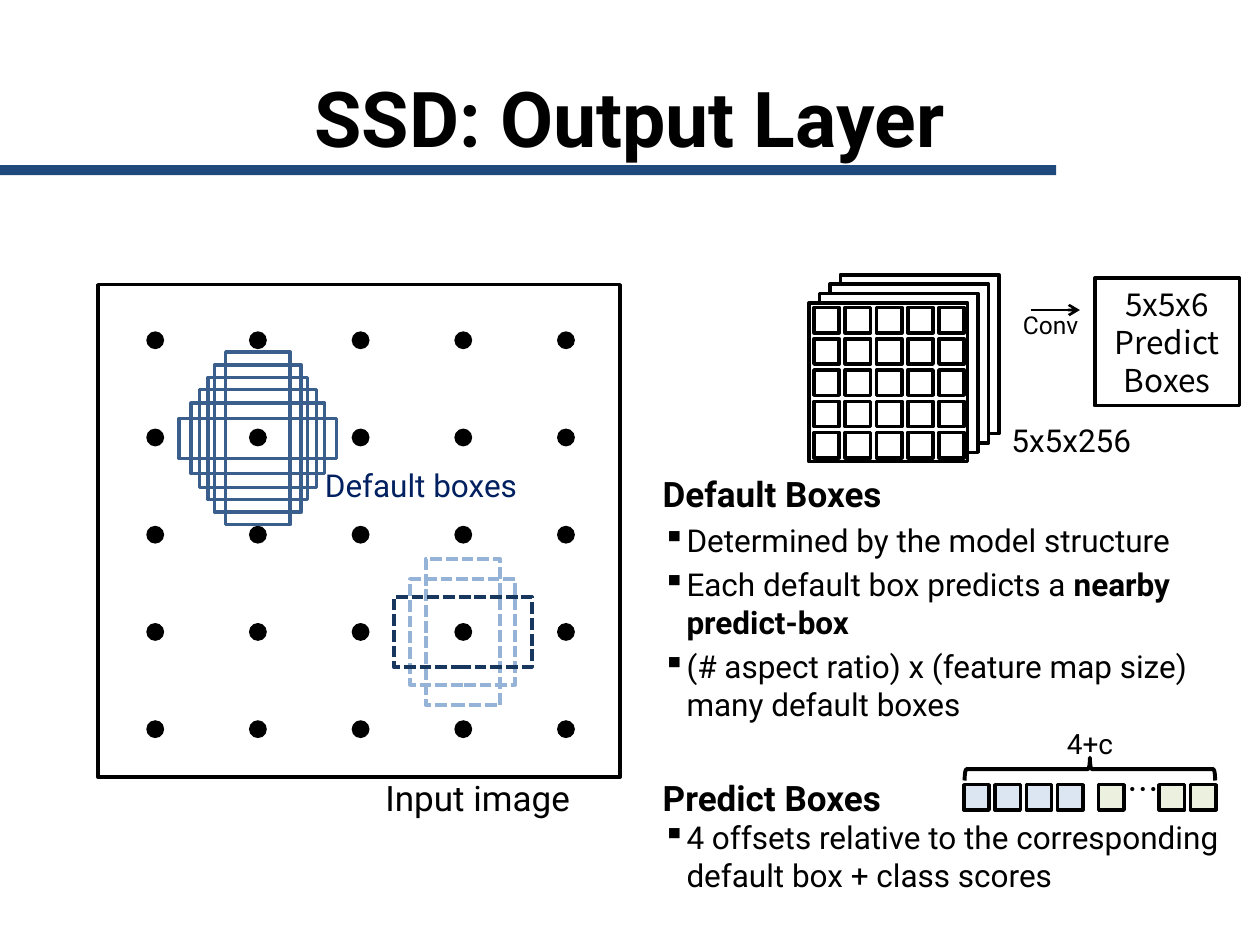
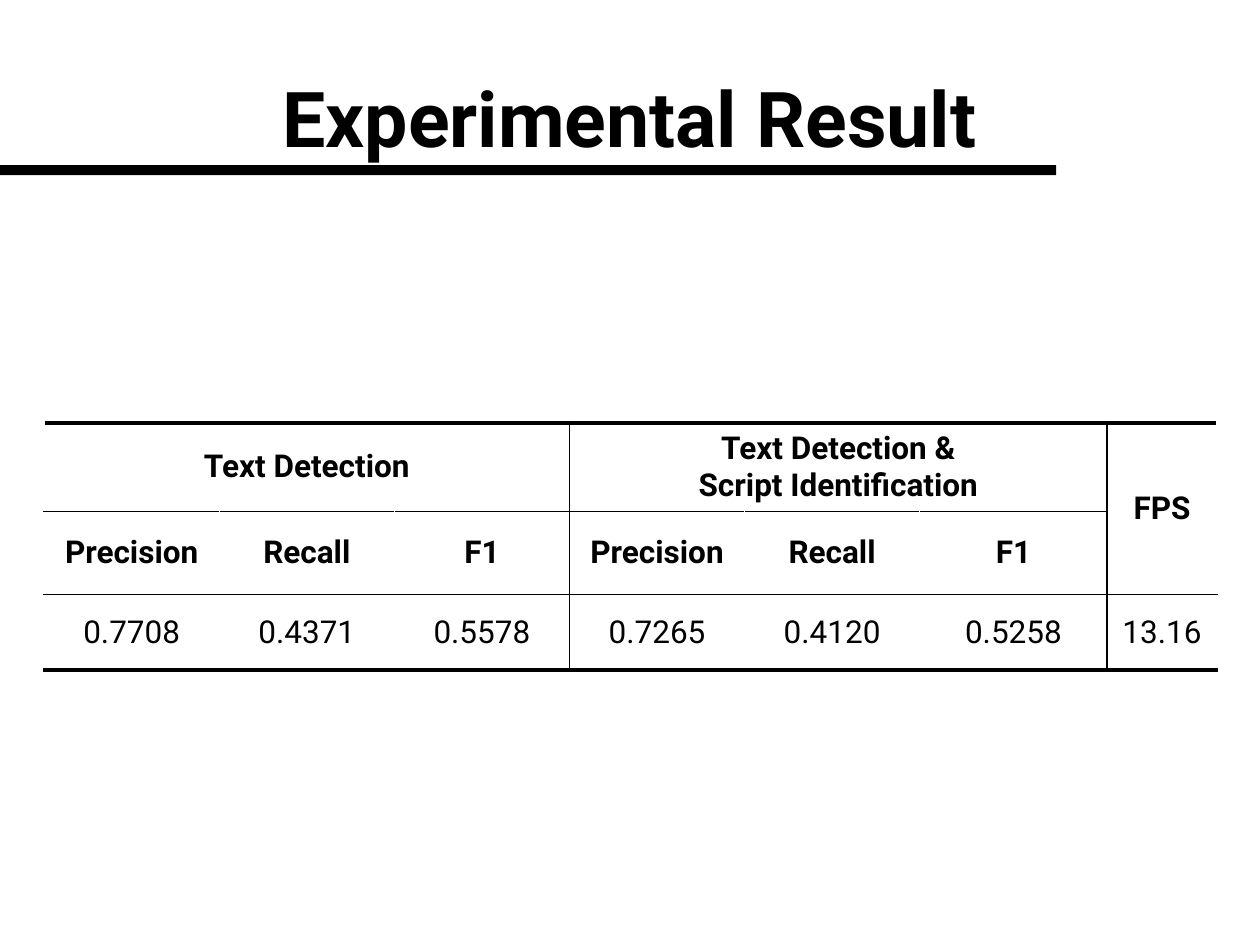
from lxml import etree
from pptx import Presentation
from pptx.dml.color import RGBColor
from pptx.enum.dml import MSO_LINE
from pptx.enum.shapes import MSO_CONNECTOR, MSO_SHAPE
from pptx.enum.text import MSO_ANCHOR, PP_ALIGN
from pptx.oxml.ns import qn
from pptx.util import Cm, Pt

RECT, OVAL, BRACE = MSO_SHAPE.RECTANGLE, MSO_SHAPE.OVAL, MSO_SHAPE.LEFT_BRACE
DASHED, STRAIGHT = MSO_LINE.SQUARE_DOT, MSO_CONNECTOR.STRAIGHT
TOP, MIDDLE = MSO_ANCHOR.TOP, MSO_ANCHOR.MIDDLE
LEFT, CENTER = PP_ALIGN.LEFT, PP_ALIGN.CENTER

COLORS = {
    "black": "000000",
    "white": "FFFFFF",
    "rule": "1F497D",
    "default box": "3A5F8C",
    "near box": "95B3D7",
    "matched box": "17375E",
    "label": "002060",
    "offset": "DCE6F2",
    "score": "EBF1DE",
}
ROBOTO, NOTO = "Roboto", "Noto Sans CJK KR"


def draw(slide, kind, box, fill=None, line=None, width=2, dash=None):
    shape = slide.shapes.add_shape(kind, *[Cm(length) for length in box])
    shape.shadow.inherit = False
    if fill:
        shape.fill.solid()
        shape.fill.fore_color.rgb = RGBColor.from_string(COLORS[fill])
    else:
        shape.fill.background()
    if line:
        shape.line.color.rgb = RGBColor.from_string(COLORS[line])
        shape.line.width = Pt(width)
        shape.line.dash_style = dash
    else:
        shape.line.fill.background()
    return shape


def write(frame, paragraphs, size=18, font=ROBOTO, color="black", bold=False,
          align=LEFT, anchor=TOP, space=0.0, bullets_from=None):
    """Each paragraph is a list of runs; runs at odd places are set in bold."""
    frame.word_wrap = True
    frame.vertical_anchor = anchor
    for index, runs in enumerate(paragraphs):
        paragraph = frame.paragraphs[0] if index == 0 else frame.add_paragraph()
        bulleted = bullets_from is not None and index >= bullets_from
        run_size = 18 if bulleted else size
        for name, value in {"alignment": align,
                            "space_before": Pt(run_size * space)}.items():
            setattr(paragraph, name, value)
        if bulleted:
            properties = paragraph._p.get_or_add_pPr()
            properties.set("marL", str(Cm(0.48)))
            properties.set("indent", str(-Cm(0.48)))
            etree.SubElement(properties, qn("a:buChar")).set("char", "▪")
        for place, text in enumerate(runs):
            run = paragraph.add_run()
            run.text = text
            run_format = {"name": font, "size": Pt(run_size),
                          "bold": place % 2 == 1 or (bold and not bulleted)}
            for name, value in run_format.items():
                setattr(run.font, name, value)
            run.font.color.rgb = RGBColor.from_string(COLORS[color])


deck = Presentation()
deck.slide_width, deck.slide_height = Cm(25.4), Cm(19.05)

# Title and rule of both slides
slides = []
for title, rule_color in [("SSD: Output Layer", "rule"),
                          ("Experimental Result", "black")]:
    slide = deck.slides.add_slide(deck.slide_layouts[6])
    heading = slide.shapes.add_textbox(Cm(1.27), Cm(0.76), Cm(22.86), Cm(3.18))
    write(heading.text_frame, [[title]], size=44, bold=True,
          align=CENTER, anchor=MIDDLE)
    draw(slide, RECT, (0, 3.33, 21.29, 0.2), fill=rule_color)
    slides.append(slide)
output_slide, result_slide = slides

# Input image with its grid of positions
draw(output_slide, RECT, (1.98, 5.74, 10.52, 9.93), "white", "black")
for row in range(5):
    for column in range(5):
        draw(output_slide, OVAL,
             (2.95 + 2.07 * column, 6.68 + 1.96 * row, 0.36, 0.36), "black")

# Feature map: stacked layers, then the cells of the front layer
for layer in range(4):
    draw(output_slide, RECT,
         (16.94 - 0.21 * layer, 5.54 + 0.19 * layer, 3.2, 3.2), "white", "black")
for row in range(5):
    for column in range(5):
        draw(output_slide, RECT,
             (16.41 + 0.63 * column, 6.2 + 0.63 * row, 0.51, 0.51),
             "white", "black")

# Default boxes, each set centred on one position
solid = {"line": "default box"}
near = {"line": "near box", "width": 2.25, "dash": DASHED}
matched = {**near, "line": "matched box"}
box_sets = [
    (5.2, 8.84, [(3.18, 0.81, solid), (2.69, 1.42, solid), (2.36, 1.98, solid),
                 (2.01, 2.46, solid), (1.75, 2.97, solid), (1.3, 3.48, solid)]),
    (9.33, 12.74, [(2.11, 2.13, near), (1.5, 2.95, near), (2.79, 1.4, matched)]),
]
for center_x, center_y, boxes in box_sets:
    for width, height, outline in boxes:
        draw(output_slide, RECT, (center_x - width / 2, center_y - height / 2,
                                  width, height), **outline)

# Convolution arrow and its result
conv_arrow = output_slide.shapes.add_connector(
    STRAIGHT, Cm(20.78), Cm(6.25), Cm(21.77), Cm(6.25))
conv_arrow.line.color.rgb = RGBColor.from_string(COLORS["black"])
conv_arrow.line.width = Pt(1.5)
etree.SubElement(conv_arrow.line._get_or_add_ln(), qn("a:tailEnd")).set("type", "arrow")
etree.SubElement(conv_arrow._element.spPr, qn("a:effectLst"))
prediction = draw(output_slide, RECT, (22.07, 5.61, 2.92, 2.57), line="black")
write(prediction.text_frame, [["5x5x6"], ["Predict Boxes"]], font=NOTO,
      align=CENTER, anchor=MIDDLE)

# Predicted vector: four offsets, then class scores
for left, count, fill in [(19.43, 4, "offset"), (22.15, 1, "score"),
                          (23.37, 2, "score")]:
    for place in range(count):
        draw(output_slide, RECT, (left + 0.63 * place, 15.82, 0.51, 0.51),
             fill, "black")
vector_brace = draw(output_slide, BRACE, (21.74, 12.98, 0.46, 5.05),
                    line="black", width=2.25)
vector_brace.rotation = 90
vector_brace.adjustments[0] = 0.08
vector_brace.adjustments[1] = 0.5

# Labels and explanations
centered = {"align": CENTER, "anchor": MIDDLE}
texts = [
    ((20.14, 8.36, 3.18, 1.02), [["5x5x256"]], {}),
    ((7.52, 15.52, 4.42, 1.22), [["Input image"]], {"size": 20, "space": 0.2}),
    ((20.29, 6.1, 1.78, 0.91), [["Conv"]], {"size": 14, **centered}),
    ((6.3, 9.27, 4.55, 1.09), [["Default boxes"]],
     {"color": "label", "space": 0.2}),
    ((22.53, 15.65, 1.02, 0.51), [["…"]], {"font": NOTO, **centered}),
    ((21.26, 14.53, 1.73, 0.94), [["4+c"]], {"size": 16}),
    ((13.11, 9.4, 12.29, 5.74),
     [["Default Boxes"],
      ["Determined by the model structure"],
      ["Each default box predicts a ", "nearby predict-box"],
      ["(# aspect ratio) x (feature map size) many default boxes"]],
     {"size": 20, "bold": True, "space": 0.2, "bullets_from": 1}),
    ((13.11, 15.52, 12.29, 2.64),
     [["Predict Boxes"],
      ["4 offsets relative to the corresponding default box + class scores"]],
     {"size": 20, "bold": True, "bullets_from": 1}),
]
for box, paragraphs, text_format in texts:
    label = output_slide.shapes.add_textbox(*[Cm(length) for length in box])
    write(label.text_frame, paragraphs, **text_format)
    if paragraphs == [["…"]]:
        label.text_frame.margin_left = label.text_frame.margin_right = 0

# Result table
measures = ["Precision", "Recall", "F1"]
rows = [
    ["Text Detection", "", "", "Text Detection &\nScript Identification", "", "", "FPS"],
    measures * 2 + [""],
    ["0.7708", "0.4371", "0.5578", "0.7265", "0.4120", "0.5258", "13.16"],
]
column_widths = [3.53] * 5 + [3.78, 2.21]
row_heights = [1.73, 1.68, 1.52]
results = result_slide.shapes.add_table(
    len(rows), len(column_widths), Cm(0.89), Cm(8.53),
    Cm(sum(column_widths)), Cm(sum(row_heights))).table
results.first_row = results.horz_banding = False
for column, width in zip(results.columns, column_widths):
    column.width = Cm(width)
for row, height in zip(results.rows, row_heights):
    row.height = Cm(height)
for first, last in [((0, 0), (0, 2)), ((0, 3), (0, 5)), ((0, 6), (1, 6))]:
    results.cell(*first).merge(results.cell(*last))

for row, values in enumerate(rows):
    for column, value in enumerate(values):
        cell = results.cell(row, column)
        cell.vertical_anchor = MIDDLE
        cell.fill.solid()
        cell.fill.fore_color.rgb = RGBColor.from_string(COLORS["white"])
        if value:
            write(cell.text_frame, [[line] for line in value.split("\n")],
                  bold=row < 2, align=CENTER, anchor=MIDDLE)
        # Black lines part the column groups; the outer rows have thick edges
        right, bottom = column + cell.span_width, row + cell.span_height
        borders = [
            ("a:lnL", "black" if column in (3, 6) else "white", 1),
            ("a:lnR", "black" if right in (3, 6) else "white", 1),
            ("a:lnT", "black", 3 if row == 0 else 1),
            ("a:lnB", "black", 3 if bottom == len(rows) else 1),
        ]
        for place, (side, color, width) in enumerate(borders):
            border = etree.Element(qn(side), w=str(Pt(width)))
            border_fill = etree.SubElement(border, qn("a:solidFill"))
            etree.SubElement(border_fill, qn("a:srgbClr")).set("val", COLORS[color])
            cell._tc.get_or_add_tcPr().insert(place, border)

deck.save("out.pptx")
